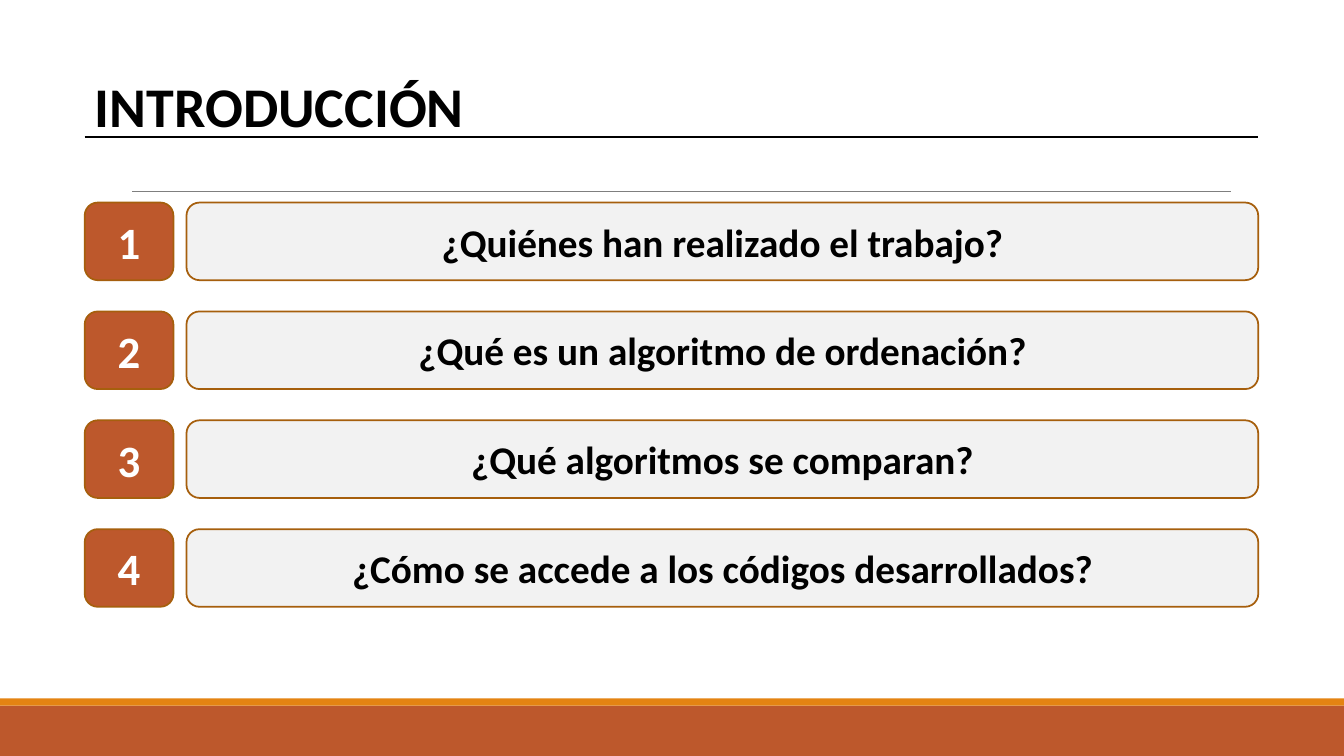
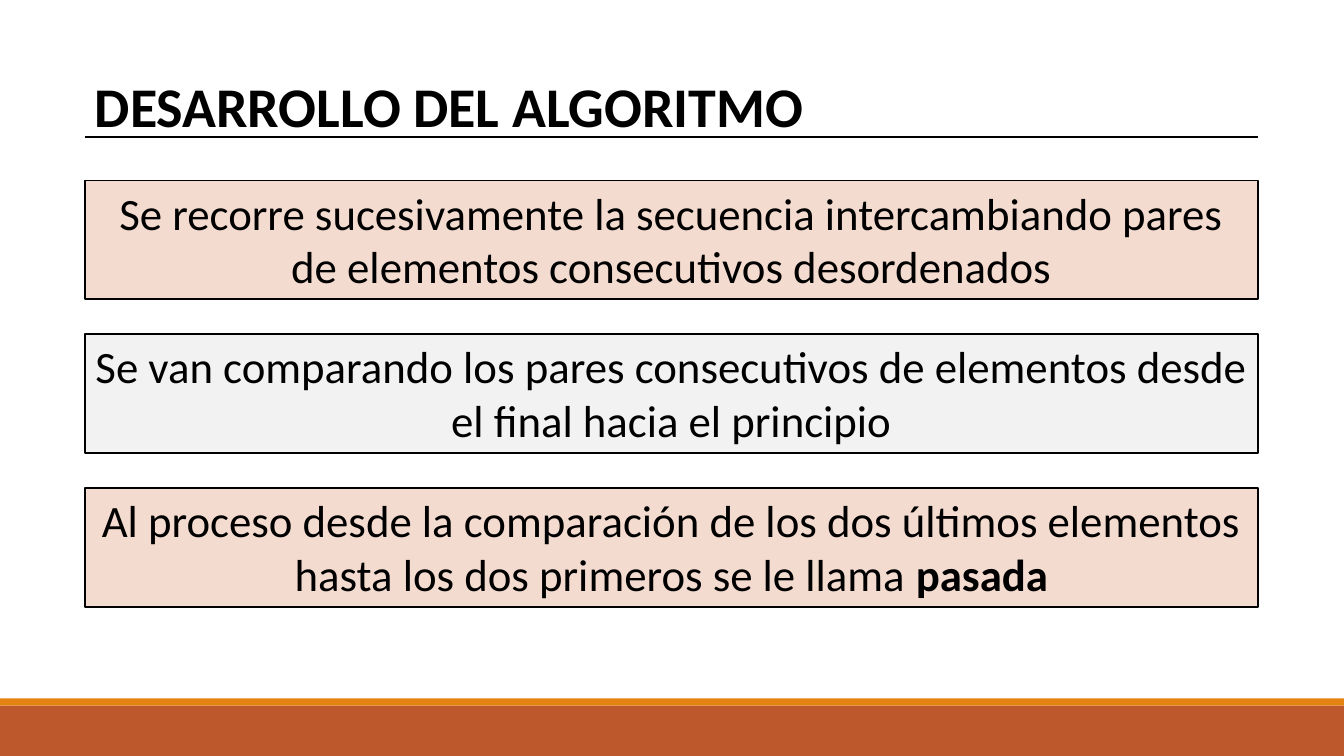
from lxml import etree
from pptx import Presentation
from pptx.dml.color import RGBColor
from pptx.enum import shapes, text
from pptx.oxml.ns import qn
from pptx.util import Inches, Pt

# Content
INTRO_TITLE = "INTRODUCCIÓN"
QUESTIONS = [
    "¿Quiénes han realizado el trabajo?",
    "¿Qué es un algoritmo de ordenación?",
    "¿Qué algoritmos se comparan?",
    "¿Cómo se accede a los códigos desarrollados?",
]
STEPS_TITLE = "DESARROLLO DEL ALGORITMO"
STEPS = [  # each step is a list of (text, bold) runs
    [("Se recorre sucesivamente la secuencia intercambiando pares "
      "de elementos consecutivos desordenados", False)],
    [("Se van comparando los pares consecutivos de elementos desde "
      "el final hacia el principio", False)],
    [("Al proceso desde la comparación de los dos últimos elementos "
      "hasta los dos primeros se le llama ", False), ("pasada", True)],
]

# Shared style
FONT = "Calibri"
BLACK, WHITE, GREY = "000000", "FFFFFF", "7F7F7F"
RUST, ORANGE, BROWN = "BD582C", "E48312", "A65F0D"
PEACH, PALE = "F4DBD0", "F2F2F2"
SLIDE_W, SLIDE_H = 13.33, 7.5
LEFT, WIDTH = 0.84, 11.64
RIGHT = LEFT + WIDTH
BANDS = [(7, 0.5, RUST), (6.93, 0.07, ORANGE)]  # top, height, colour


def color(value):
    return RGBColor.from_string(value)


def write(frame, runs, size, ink, align, anchor):
    frame.word_wrap = True
    frame.auto_size = text.MSO_AUTO_SIZE.NONE
    frame.vertical_anchor = anchor
    paragraph = frame.paragraphs[0]
    paragraph.alignment = align
    for words, bold in runs:
        run = paragraph.add_run()
        run.text = words
        run.font.name, run.font.size, run.font.bold = FONT, Pt(size), bold
        run.font.color.rgb = color(ink)


def add_box(slide, kind, left, top, width, height, fill, border=None):
    box = slide.shapes.add_shape(
        kind, Inches(left), Inches(top), Inches(width), Inches(height))
    box.shadow.inherit = False
    box.fill.solid()
    box.fill.fore_color.rgb = color(fill)
    if border:
        box.line.color.rgb = color(border)
        box.line.width = Pt(1.25)
    else:
        box.line.fill.background()
    return box


def add_rule(slide, left, right, y, ink, weight):
    rule = slide.shapes.add_connector(
        shapes.MSO_CONNECTOR.STRAIGHT,
        Inches(left), Inches(y), Inches(right), Inches(y))
    rule.line.color.rgb = color(ink)
    rule.line.width = Pt(weight)
    etree.SubElement(rule.element.spPr, qn("a:effectLst"))


def add_slide(prs, title):
    slide = prs.slides.add_slide(prs.slide_layouts[5])
    write(slide.shapes.title.text_frame, [(title, True)], 40, BLACK,
          text.PP_ALIGN.LEFT, text.MSO_ANCHOR.TOP)
    add_rule(slide, LEFT, RIGHT, 1.36, BLACK, 1.25)
    return slide


def style_template(prs, slide):
    """Move the bottom bands, drawn on a slide, to the master."""
    for top, height, fill in BANDS:
        band = add_box(slide, shapes.MSO_SHAPE.RECTANGLE,
                       0, top, SLIDE_W, height, fill)
        prs.slide_master.shapes.element.append(band.element)


def fill_intro(slide):
    add_rule(slide, 1.31, 12.21, 1.9, GREY, 0.75)
    first, pitch, height = 2.01, 1.08, 0.77
    number_w, question_left = 0.88, 1.85
    for i, question in enumerate(QUESTIONS):
        cells = [
            (str(i + 1), LEFT, number_w, RUST, 32, WHITE),
            (question, question_left, RIGHT - question_left, PALE, 28, BLACK),
        ]
        for words, left, width, fill, size, ink in cells:
            box = add_box(slide, shapes.MSO_SHAPE.ROUNDED_RECTANGLE, left,
                          first + i * pitch, width, height, fill, BROWN)
            write(box.text_frame, [(words, True)], size, ink,
                  text.PP_ALIGN.CENTER, text.MSO_ANCHOR.MIDDLE)


def fill_steps(slide):
    first, pitch, height = 1.79, 1.525, 1.18
    for i, runs in enumerate(STEPS):
        box = add_box(slide, shapes.MSO_SHAPE.RECTANGLE, LEFT,
                      first + i * pitch, WIDTH, height,
                      (PEACH, PALE)[i % 2], BLACK)
        write(box.text_frame, runs, 32, BLACK,
              text.PP_ALIGN.CENTER, text.MSO_ANCHOR.TOP)


def main():
    prs = Presentation()
    prs.slide_width, prs.slide_height = Inches(SLIDE_W), Inches(SLIDE_H)

    # Title position, set once in the layout
    title = prs.slide_layouts[5].placeholders[0]
    title.left, title.top = Inches(LEFT), Inches(0.66)
    title.width, title.height = Inches(WIDTH), Inches(0.77)

    intro = add_slide(prs, INTRO_TITLE)
    style_template(prs, intro)
    fill_intro(intro)
    fill_steps(add_slide(prs, STEPS_TITLE))
    prs.save("out.pptx")


if __name__ == "__main__":
    main()
